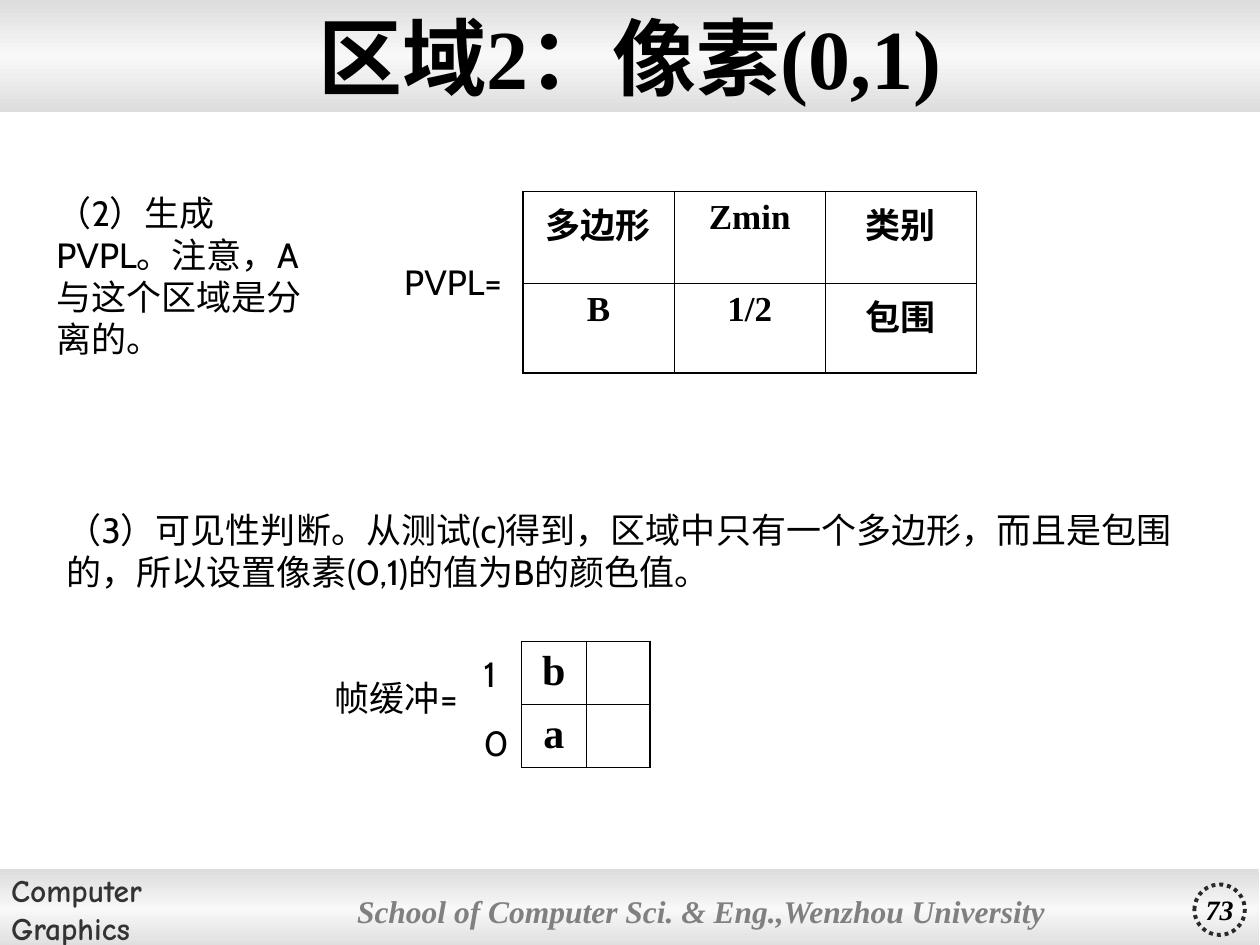
from copy import deepcopy
from dataclasses import dataclass

from lxml.etree import SubElement
from pptx import Presentation
from pptx.dml.color import RGBColor
from pptx.enum.dml import MSO_LINE
from pptx.enum.shapes import MSO_SHAPE as Preset
from pptx.enum.text import MSO_ANCHOR as Anchor, MSO_AUTO_SIZE as AutoSize, PP_ALIGN as Align
from pptx.oxml.ns import qn
from pptx.util import Inches, Pt

COLUMNS, ROWS = 100, 75
WIDTH, HEIGHT = Inches(10), Inches(7.5)
SERIF, SANS, COMIC = "Times New Roman", "Cabin", "Comic Neue"
BLACK = "000000"
BAND_STOPS = ((0, "DDDDDD"), (0.5, "F8F8F8"), (1, "DDDDDD"))
OUTER, INNER = 1.08, 0.45


@dataclass(frozen=True)
class Area:
    column: float
    row: float
    columns: float
    rows: float

    def box(self) -> tuple[int, int, int, int]:
        return (
            round(self.column * WIDTH / COLUMNS),
            round(self.row * HEIGHT / ROWS),
            round(self.columns * WIDTH / COLUMNS),
            round(self.rows * HEIGHT / ROWS),
        )


@dataclass(frozen=True)
class Statement:
    wording: str
    area: Area


@dataclass(frozen=True)
class Grid:
    area: Area
    row_heights: tuple[float, ...]
    entries: tuple[tuple[str, ...], ...]
    size: int


STATEMENTS = (
    Statement("（2）生成PVPL。注意，A与这个区域是分离的。", Area(3.5, 14.7, 23.6, 11)),
    Statement(
        "（3）可见性判断。从测试(c)得到，区域中只有一个多边形，而且是包围的，"
        "所以设置像素(0,1)的值为B的颜色值。",
        Area(4.3, 39.9, 91.4, 7.7),
    ),
    Statement("1", Area(37.4, 51.3, 3.9, 4.4)),
    Statement("0", Area(37.4, 56.8, 3.9, 4.4)),
    Statement("帧缓冲=", Area(25.6, 53.2, 13.4, 4.4)),
    Statement("PVPL=", Area(31.1, 20.2, 11.8, 4.4)),
)
FRAME_BUFFER = Grid(Area(41.4, 50.9, 10.2, 10), (5, 5), (("b", ""), ("a", "")), 24)
POLYGON_LIST = Grid(
    Area(41.5, 15.2, 36, 14.4),
    (7.3, 7.1),
    (("多边形", "Zmin", "类别"), ("B", "1/2", "包围")),
    20,
)


def rgb(color: str) -> RGBColor:
    return RGBColor.from_string(color)


def write(frame, wording: str, *, size: int, font: str = SERIF, color: str = BLACK,
          bold: bool = False, italic: bool = False, align=Align.LEFT) -> None:
    for index, line in enumerate(wording.split("\n")):
        paragraph = frame.add_paragraph() if index else frame.paragraphs[0]
        paragraph.alignment = align
        run = paragraph.add_run()
        run.text = line
        run.font.size, run.font.name = Pt(size), font
        run.font.bold, run.font.italic = bold, italic
        run.font.color.rgb = rgb(color)


def add_plain(slide, preset, area: Area):
    shape = slide.shapes.add_shape(preset, *area.box())
    shape.shadow.inherit = False
    shape.fill.background()
    shape.line.fill.background()
    shape.text_frame.word_wrap = False
    shape.text_frame.vertical_anchor = Anchor.MIDDLE
    return shape


def add_band(slide, area: Area):
    band = add_plain(slide, Preset.RECTANGLE, area)
    band.fill.gradient()
    band.fill.gradient_angle = 90
    stop_list = next(band._element.iter(qn("a:gsLst")))
    stop_list.insert(1, deepcopy(stop_list[0]))
    for stop, (position, color) in zip(band.fill.gradient_stops, BAND_STOPS):
        stop.position = position
        stop.color.rgb = rgb(color)
    return band


def add_statement(slide, statement: Statement) -> None:
    frame = slide.shapes.add_textbox(*statement.area.box()).text_frame
    frame.word_wrap = True
    frame.auto_size = AutoSize.SHAPE_TO_FIT_TEXT
    write(frame, statement.wording, size=20, font=SANS)


def add_border(cell, side: str, points: float) -> None:
    border = SubElement(cell._tc.get_or_add_tcPr(), qn(f"a:ln{side}"), w=str(Pt(points)))
    fill = SubElement(border, qn("a:solidFill"))
    SubElement(fill, qn("a:srgbClr"), val=BLACK)


def add_grid(slide, grid: Grid) -> None:
    row_count, column_count = len(grid.entries), len(grid.entries[0])
    table = slide.shapes.add_table(row_count, column_count, *grid.area.box()).table
    table.first_row = table.horz_banding = False
    for row, rows in zip(table.rows, grid.row_heights):
        row.height = round(rows * HEIGHT / ROWS)
    for r, entries in enumerate(grid.entries):
        for c, entry in enumerate(entries):
            cell = table.cell(r, c)
            edges = {"L": c == 0, "R": c == column_count - 1,
                     "T": r == 0, "B": r == row_count - 1}
            for side, is_outer in edges.items():
                add_border(cell, side, OUTER if is_outer else INNER)
            cell.fill.background()
            if entry:
                write(cell.text_frame, entry, size=grid.size, bold=True, align=Align.CENTER)


def add_footer(slide) -> None:
    course = add_band(slide, Area(-0.1, 69, 100, 6.3))
    write(course.text_frame, "Computer\nGraphics", size=18, font=COMIC,
          color="333333", bold=True)
    school = add_plain(slide, Preset.ROUNDED_RECTANGLE, Area(27.8, 69, 59.9, 6.6))
    school.adjustments[0] = 0.02
    frame = school.text_frame
    frame.margin_left = frame.margin_right = Inches(0.05)
    frame.margin_top = frame.margin_bottom = Inches(0.02)
    write(frame, "School of Computer Sci. & Eng.,Wenzhou University", size=18,
          color="808080", bold=True, italic=True)
    page = add_plain(slide, Preset.OVAL, Area(94.8, 70.2, 4, 4))
    page.line.color.rgb = rgb("292929")
    page.line.width = Pt(2.25)
    page.line.dash_style = MSO_LINE.ROUND_DOT
    write(page.text_frame, "73", size=16, bold=True, italic=True, align=Align.CENTER)


def add_heading(slide) -> None:
    add_band(slide, Area(0, 0, 100, 8.9))
    title = slide.shapes.title
    title.left, title.top, title.width, title.height = Area(0, 0.5, 100, 7.9).box()
    title.text_frame.auto_size = AutoSize.NONE
    title.text_frame.vertical_anchor = Anchor.MIDDLE
    write(title.text_frame, "区域2：像素(0,1)", size=48, bold=True, align=Align.CENTER)
    title._element.getparent().append(title._element)


def main() -> None:
    deck = Presentation()
    deck.slide_width, deck.slide_height = WIDTH, HEIGHT
    slide = deck.slides.add_slide(deck.slide_layouts[5])
    add_footer(slide)
    add_heading(slide)
    for statement in STATEMENTS:
        add_statement(slide, statement)
    for grid in (FRAME_BUFFER, POLYGON_LIST):
        add_grid(slide, grid)
    deck.save("out.pptx")


if __name__ == "__main__":
    main()
